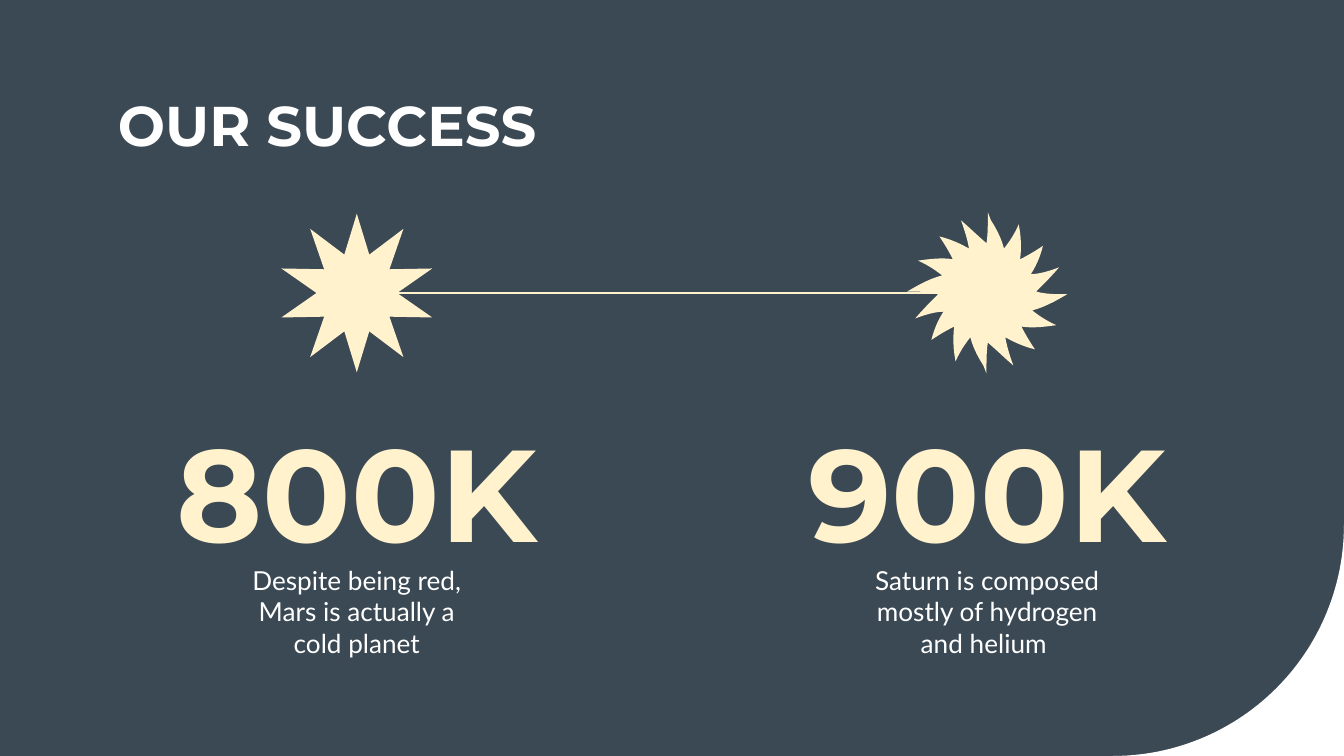
"""Build the "Our success" slide: two large figures joined by a line between two stars."""
import math

import pptx
import pptx.dml.color
import pptx.enum.shapes
import pptx.enum.text
import pptx.oxml.ns
import pptx.util
from lxml import etree

Inches = pptx.util.Inches
ALIGN = pptx.enum.text.PP_ALIGN
ANCHOR = pptx.enum.text.MSO_ANCHOR

COLORS = {"slate": "3B4954", "cream": "FFF2CC", "white": "FFFFFF"}
PAGE_WIDTH = 10
PAGE_HEIGHT = PAGE_WIDTH * 9 / 16

TITLE = "OUR SUCCESS"
FIGURES = [
    {"value": "800K", "note": "Despite being red, Mars is actually a cold planet"},
    {"value": "900K", "note": "Saturn is composed mostly of hydrogen and helium "},
]
FIGURE_GAP = 4.69
STYLES = {
    "title": {"font": {"name": "Montserrat", "size": 30, "bold": True}, "color": "white",
              "align": ALIGN.LEFT, "anchor": ANCHOR.MIDDLE},
    "value": {"font": {"name": "Montserrat", "size": 70, "bold": True}, "color": "cream",
              "align": ALIGN.CENTER, "anchor": ANCHOR.MIDDLE},
    "note": {"font": {"name": "Lato", "size": 14, "bold": False}, "color": "white",
             "align": ALIGN.CENTER, "anchor": ANCHOR.TOP},
}
FIGURE_PARTS = {"value": (3.17, 3.25, 0.95), "note": (4.1, 2.02, 0.91)}

STAR_Y = 2.18
LINK = (7.38, 2.64)
STAR = {"points": 10, "outer": 0.59, "inner": 0.3}
SUN_HALF = [
    (7.35, 1.58), (7.35, 1.68), (7.35, 1.75), (7.34, 1.81), (7.28, 1.76), (7.22, 1.7),
    (7.15, 1.64), (7.18, 1.72), (7.2, 1.79), (7.21, 1.85), (7.14, 1.81), (7.07, 1.78),
    (6.99, 1.76), (7.03, 1.82), (7.06, 1.87), (7.09, 1.93), (7.04, 1.92), (6.96, 1.92),
    (6.83, 1.94), (6.9, 1.97), (6.96, 2.01), (7.01, 2.05), (6.93, 2.07), (6.85, 2.11),
    (6.75, 2.17), (6.83, 2.17), (6.91, 2.17), (6.98, 2.19), (6.93, 2.24), (6.87, 2.3),
    (6.81, 2.37), (6.89, 2.34), (6.96, 2.32), (7.02, 2.32), (6.98, 2.38), (6.95, 2.45),
    (6.93, 2.53), (6.99, 2.49), (7.04, 2.46), (7.1, 2.43), (7.09, 2.5), (7.09, 2.59),
    (7.11, 2.69), (7.14, 2.62), (7.18, 2.56), (7.22, 2.51), (7.24, 2.59), (7.28, 2.67),
    (7.35, 2.77),
]
CORNER_RADIUS = 1.72


def color(name):
    return pptx.dml.color.RGBColor.from_string(COLORS[name])


def add_outline(page, points, fill):
    corners = [(Inches(x), Inches(y)) for x, y in points]
    builder = page.shapes.build_freeform(*corners[0])
    builder.add_line_segments(corners[1:], close=True)
    shape = builder.convert_to_shape()
    shape.shadow.inherit = False
    shape.fill.solid()
    shape.fill.fore_color.rgb = color(fill)
    shape.line.fill.background()


def add_text(page, text, style, left, top, width, height):
    box = page.shapes.add_textbox(*map(Inches, (left, top, width, height)))
    frame = box.text_frame
    frame_format = {"word_wrap": True, "vertical_anchor": style["anchor"]}
    for side in ("left", "right", "top", "bottom"):
        frame_format[f"margin_{side}"] = Inches(0.1)
    for key, value in frame_format.items():
        setattr(frame, key, value)
    para = frame.paragraphs[0]
    para.alignment = style["align"]
    span = para.add_run()
    span.text = text
    for key, value in style["font"].items():
        setattr(span.font, key, pptx.util.Pt(value) if key == "size" else value)
    span.font.color.rgb = color(style["color"])


def polar(center_x, center_y, radius, angle):
    return (center_x + radius * math.cos(angle), center_y + radius * math.sin(angle))


def star_points(center_x):
    step = math.pi / STAR["points"]
    radii = (STAR["outer"], STAR["inner"])
    return [polar(center_x, STAR_Y, radii[i % 2], i * step - math.pi / 2)
            for i in range(2 * STAR["points"])]


def sun_points(center_x, steps=6):
    half = []
    for start in range(0, len(SUN_HALF) - 1, 3):
        controls = SUN_HALF[start:start + 4]
        for t in (i / steps for i in range(steps)):
            weights = [math.comb(3, k) * t**k * (1 - t)**(3 - k) for k in range(4)]
            half.append(tuple(sum(w * point[axis] for w, point in zip(weights, controls))
                              for axis in (0, 1)))
    return half + [(2 * center_x - x, 2 * STAR_Y - y) for x, y in half]


def corner_points(steps=48):
    center = (PAGE_WIDTH - CORNER_RADIUS, PAGE_HEIGHT - CORNER_RADIUS)
    arc = [polar(*center, CORNER_RADIUS, math.pi / 2 * i / steps) for i in range(steps + 1)]
    return arc + [(PAGE_WIDTH, PAGE_HEIGHT)]


def add_link(page, start, end):
    link = page.shapes.add_connector(pptx.enum.shapes.MSO_CONNECTOR.STRAIGHT,
                                     *map(Inches, (start, STAR_Y, end, STAR_Y)))
    link.line.color.rgb = color("cream")
    link.line.width = pptx.util.Pt(1.5)
    etree.SubElement(link.element.spPr, pptx.oxml.ns.qn("a:effectLst"))


def main():
    deck = pptx.Presentation()
    deck.slide_width, deck.slide_height = Inches(PAGE_WIDTH), Inches(PAGE_HEIGHT)
    page = deck.slides.add_slide(deck.slide_layouts[6])
    page.background.fill.solid()
    page.background.fill.fore_color.rgb = color("slate")

    add_outline(page, corner_points(), "white")
    add_text(page, TITLE, STYLES["title"], 0.78, 0.61, 8.44, 0.63)
    centers = [(PAGE_WIDTH + side * FIGURE_GAP) / 2 for side in (-1, 1)]
    for figure, center in zip(FIGURES, centers):
        for part, (top, width, height) in FIGURE_PARTS.items():
            add_text(page, figure[part], STYLES[part], center - width / 2, top, width, height)
    add_outline(page, star_points(centers[0]), "cream")
    add_outline(page, sun_points(centers[1]), "cream")
    add_link(page, *LINK)
    deck.save("out.pptx")


if __name__ == "__main__":
    main()
